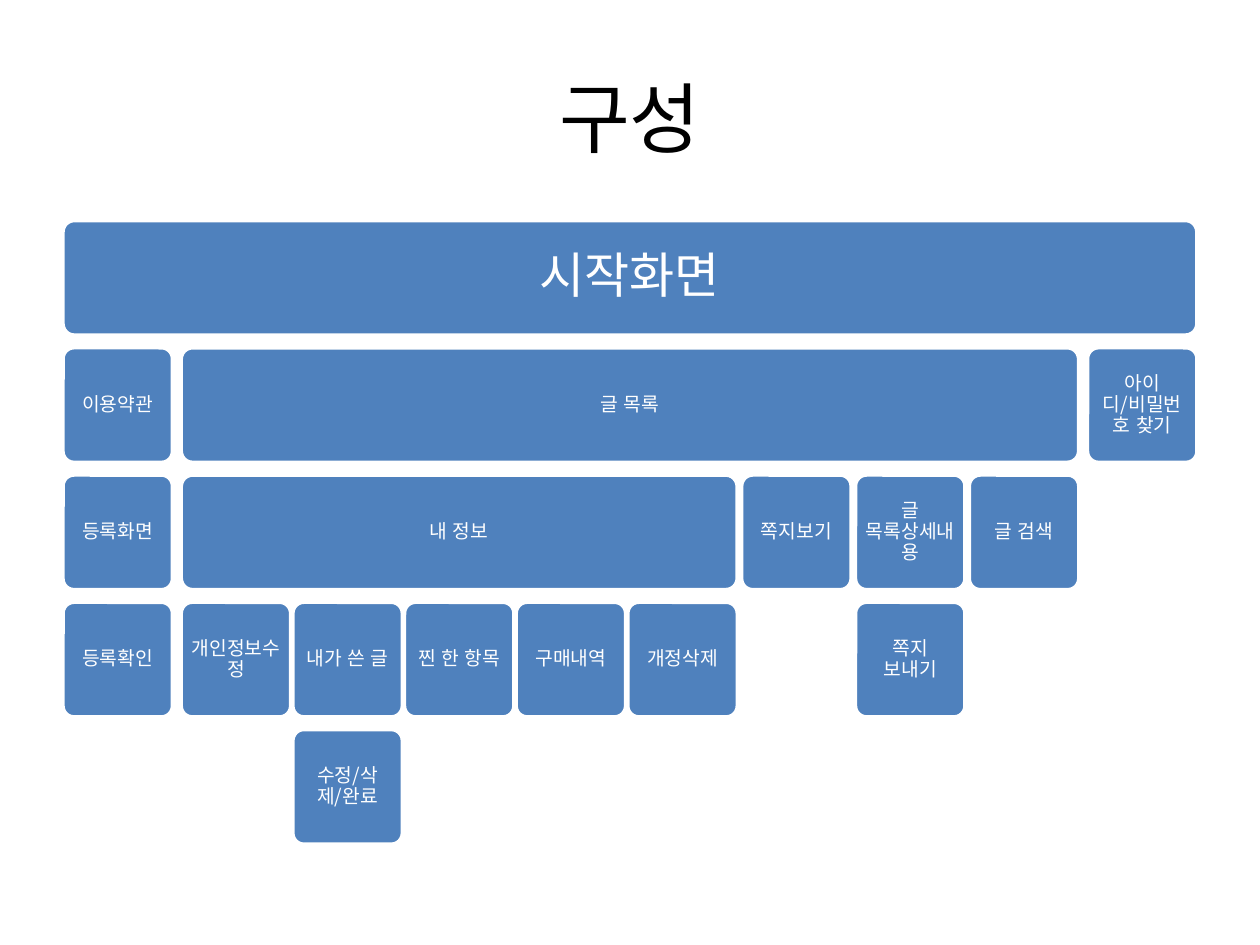
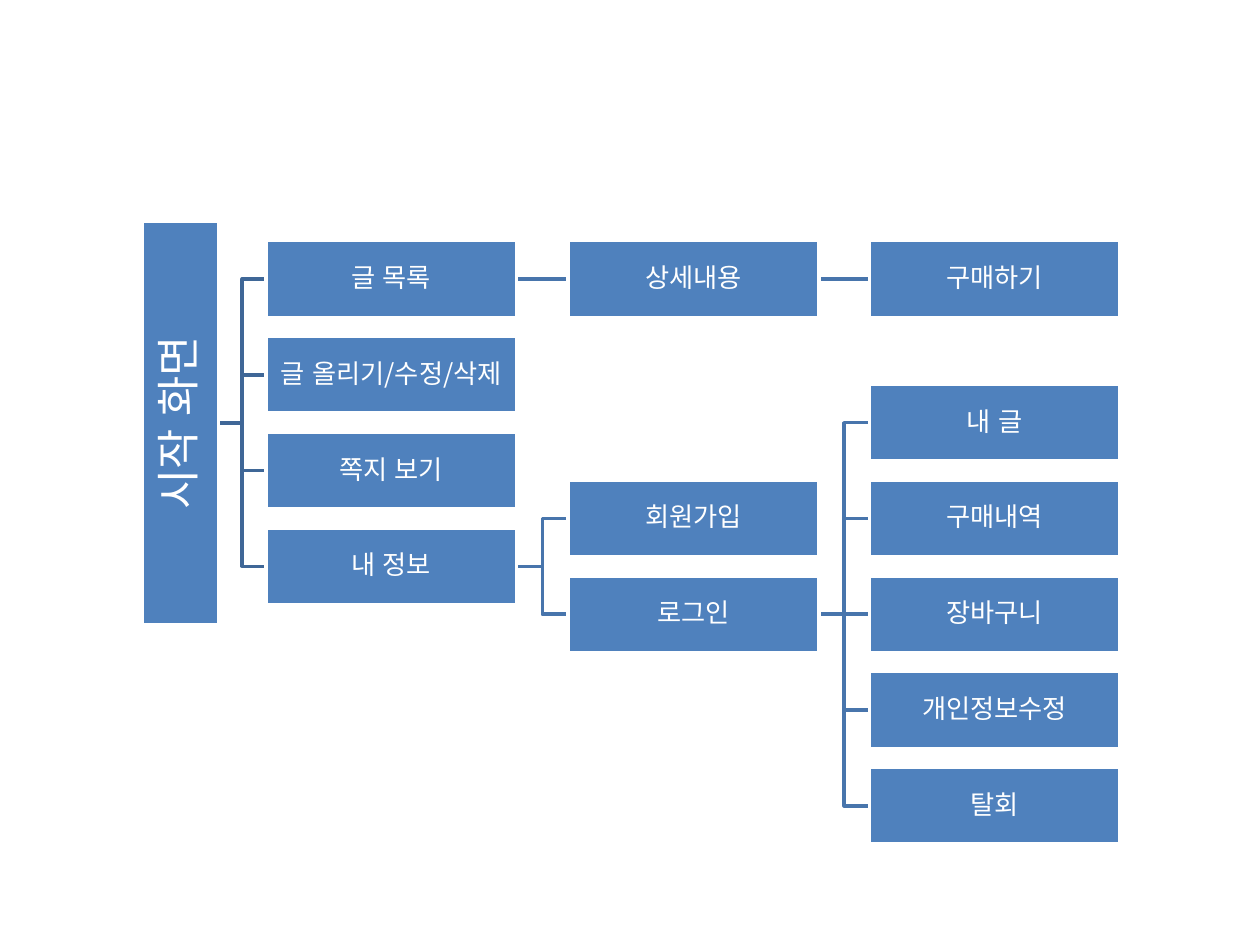
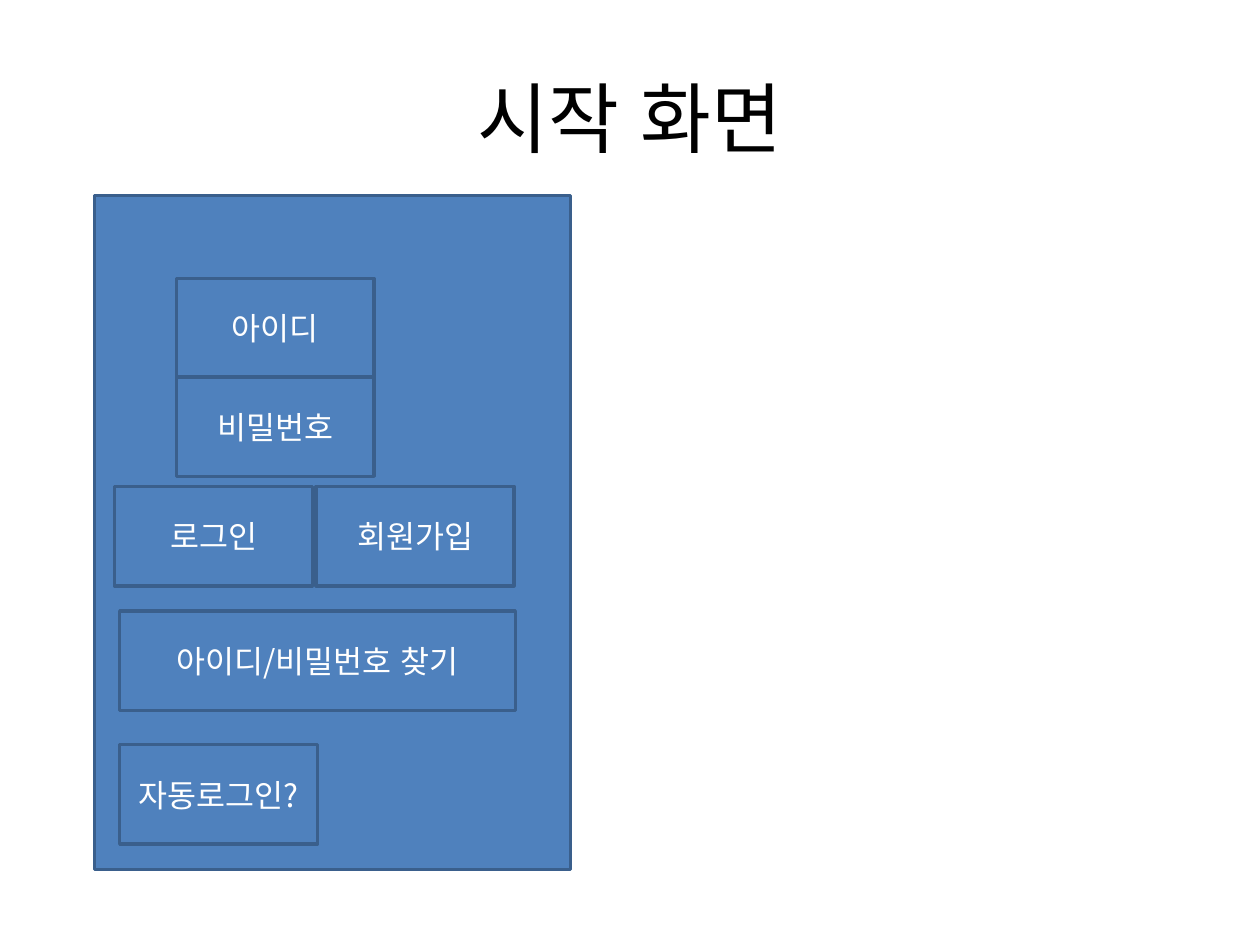
from lxml.etree import SubElement
from pptx import Presentation
from pptx.dml.color import RGBColor
from pptx.enum.lang import MSO_LANGUAGE_ID
from pptx.enum.shapes import MSO_CONNECTOR, MSO_SHAPE
from pptx.enum.text import MSO_ANCHOR, PP_ALIGN
from pptx.oxml.ns import qn
from pptx.util import Inches, Pt

FONT = "Noto Sans CJK KR"
BLACK = RGBColor(0x00, 0x00, 0x00)
WHITE = RGBColor(0xFF, 0xFF, 0xFF)
BLUE = RGBColor(0x4F, 0x81, 0xBD)
BLUE_EDGE = RGBColor(0x3A, 0x5F, 0x8C)
ROOT_LINK = RGBColor(0x3F, 0x67, 0x97)
LINK = RGBColor(0x48, 0x75, 0xAC)
LINE_WIDTH = Pt(2)

# Site map: (text, children)
SITE_MAP = ("시작화면", [
    ("이용약관", [("등록화면", [("등록확인", [])])]),
    ("글 목록", [
        ("내 정보", [
            ("개인정보수정", []),
            ("내가 쓴 글", [("수정/삭제/완료", [])]),
            ("찐 한 항목", []),
            ("구매내역", []),
            ("개정삭제", []),
        ]),
        ("쪽지보기", []),
        ("글 목록상세내용", [("쪽지 보내기", [])]),
        ("글 검색", []),
    ]),
    ("아이디/비밀번호 찾기", []),
])
MAP_LEFT, MAP_TOP, MAP_WIDTH = 0.5, 1.75, 9
TILE_HEIGHT, TILE_PITCH = 0.91, 1.01

# Screen flow: (text, row, children)
FLOW = [
    ("글 목록", 0, [("상세내용", 0, [("구매하기", 0, [])])]),
    ("글 올리기/수정/삭제", 1, []),
    ("쪽지 보기", 2, []),
    ("내 정보", 3, [
        ("회원가입", 2.5, []),
        ("로그인", 3.5, [
            ("내 글", 1.5, []),
            ("구매내역", 2.5, []),
            ("장바구니", 3.5, []),
            ("개인정보수정", 4.5, []),
            ("탈회", 5.5, []),
        ]),
    ]),
]
FLOW_COLUMNS = [2.11, 4.51, 6.9]
FLOW_TOP, FLOW_PITCH = 1.91, 0.76
NODE_WIDTH, NODE_HEIGHT = 1.99, 0.61
ROOT_LENGTH, ROOT_CENTER, ROOT_ROW = 3.2, 1.43, 1.5


class Deck:
    def __init__(self):
        self.prs = Presentation()
        self.prs.slide_width, self.prs.slide_height = Inches(10), Inches(7.5)
        self.s = None

    def new_slide(self):
        self.s = self.prs.slides.add_slide(self.prs.slide_layouts[6])

    def label(self, sp, text, size, color=WHITE, inset=None, spacing=None):
        tf = sp.text_frame
        tf.word_wrap = True
        tf.vertical_anchor = MSO_ANCHOR.MIDDLE
        if inset is not None:
            tf.margin_left = tf.margin_right = Inches(inset)
            tf.margin_top = tf.margin_bottom = Inches(inset)
        p = tf.paragraphs[0]
        p.alignment = PP_ALIGN.CENTER
        p.line_spacing = spacing
        r = p.add_run()
        r.text = text
        r.font.size = Pt(size)
        r.font.name = FONT
        r.font.color.rgb = color
        r.font.language_id = MSO_LANGUAGE_ID.KOREAN
        SubElement(r.font._element, qn("a:ea"), typeface=FONT)

    def title(self, text):
        sp = self.s.shapes.add_textbox(Inches(0.5), Inches(0.3), Inches(9), Inches(1.25))
        self.label(sp, text, 44, BLACK)

    def box(self, x, y, w, h, edge=WHITE, shape=MSO_SHAPE.RECTANGLE):
        sp = self.s.shapes.add_shape(shape, Inches(x), Inches(y), Inches(w), Inches(h))
        sp.shadow.inherit = False
        sp.fill.solid()
        sp.fill.fore_color.rgb = BLUE
        sp.line.color.rgb = edge
        sp.line.width = LINE_WIDTH
        return sp

    def tile(self, x, y, w, text, size, inset):
        sp = self.box(x, y, w, TILE_HEIGHT, shape=MSO_SHAPE.ROUNDED_RECTANGLE)
        sp.adjustments[0] = 0.1
        self.label(sp, text, size, inset=inset, spacing=0.9)

    def link(self, x1, y1, x2, y2, color):
        kind = MSO_CONNECTOR.STRAIGHT if y1 == y2 else MSO_CONNECTOR.ELBOW
        c = self.s.shapes.add_connector(kind, Inches(x1), Inches(y1), Inches(x2), Inches(y2))
        c.line.color.rgb = color
        c.line.width = LINE_WIDTH
        SubElement(c._element.spPr, qn("a:effectLst"))

    def field(self, x, y, text, w=1.57):
        self.label(self.box(x, y, w, 0.79, BLUE_EDGE), text, 18)


def gap(level):
    """Gap below a node of this level, in leaf widths; it halves at each level."""
    return 0.08 / 2 ** level


def span(node, level=0):
    """Width of a node in leaf widths."""
    children = node[1]
    if not children:
        return 1
    return sum(span(c, level + 1) for c in children) + gap(level) * (len(children) - 1)


def draw_map(deck, node, x, leaf, level=0):
    text, children = node
    size, inset = (11, 0.05) if level else (28, 0.12)
    deck.tile(x, MAP_TOP + level * TILE_PITCH, span(node, level) * leaf, text, size, inset)
    for child in children:
        draw_map(deck, child, x, leaf, level + 1)
        x += (span(child, level + 1) + gap(level)) * leaf


def row_center(row):
    return FLOW_TOP + row * FLOW_PITCH + NODE_HEIGHT / 2


def draw_links(deck, nodes, right, row, column=0):
    for _, child_row, children in nodes:
        left = FLOW_COLUMNS[column]
        deck.link(right, row_center(row), left, row_center(child_row),
                  LINK if column else ROOT_LINK)
        draw_links(deck, children, left + NODE_WIDTH, child_row, column + 1)


def draw_nodes(deck, nodes, column=0):
    for text, row, children in nodes:
        sp = deck.box(FLOW_COLUMNS[column], FLOW_TOP + row * FLOW_PITCH, NODE_WIDTH, NODE_HEIGHT)
        deck.label(sp, text, 15, inset=0.01, spacing=0.9)
        draw_nodes(deck, children, column + 1)


def structure_slide(deck):
    deck.new_slide()
    deck.title("구성")
    draw_map(deck, SITE_MAP, MAP_LEFT, MAP_WIDTH / span(SITE_MAP))


def flow_slide(deck):
    deck.new_slide()
    draw_links(deck, FLOW, ROOT_CENTER + NODE_HEIGHT / 2, ROOT_ROW)
    root = deck.box(ROOT_CENTER - ROOT_LENGTH / 2, row_center(ROOT_ROW) - NODE_HEIGHT / 2,
                    ROOT_LENGTH, NODE_HEIGHT)
    root.rotation = 270
    deck.label(root, "시작 화면", 25, inset=0.02, spacing=0.9)
    draw_nodes(deck, FLOW)


def start_screen_slide(deck):
    deck.new_slide()
    deck.title("시작 화면")
    deck.box(0.75, 1.55, 3.78, 5.35, BLUE_EDGE)
    deck.field(0.91, 3.86, "로그인")
    deck.field(2.51, 3.86, "회원가입")
    deck.field(1.4, 2.21, "아이디")
    deck.field(1.4, 2.99, "비밀번호")
    deck.field(0.95, 4.85, "아이디/비밀번호 찾기", w=3.14)
    deck.field(0.95, 5.91, "자동로그인?")


def main():
    deck = Deck()
    structure_slide(deck)
    flow_slide(deck)
    start_screen_slide(deck)
    deck.prs.save("out.pptx")


if __name__ == "__main__":
    main()
